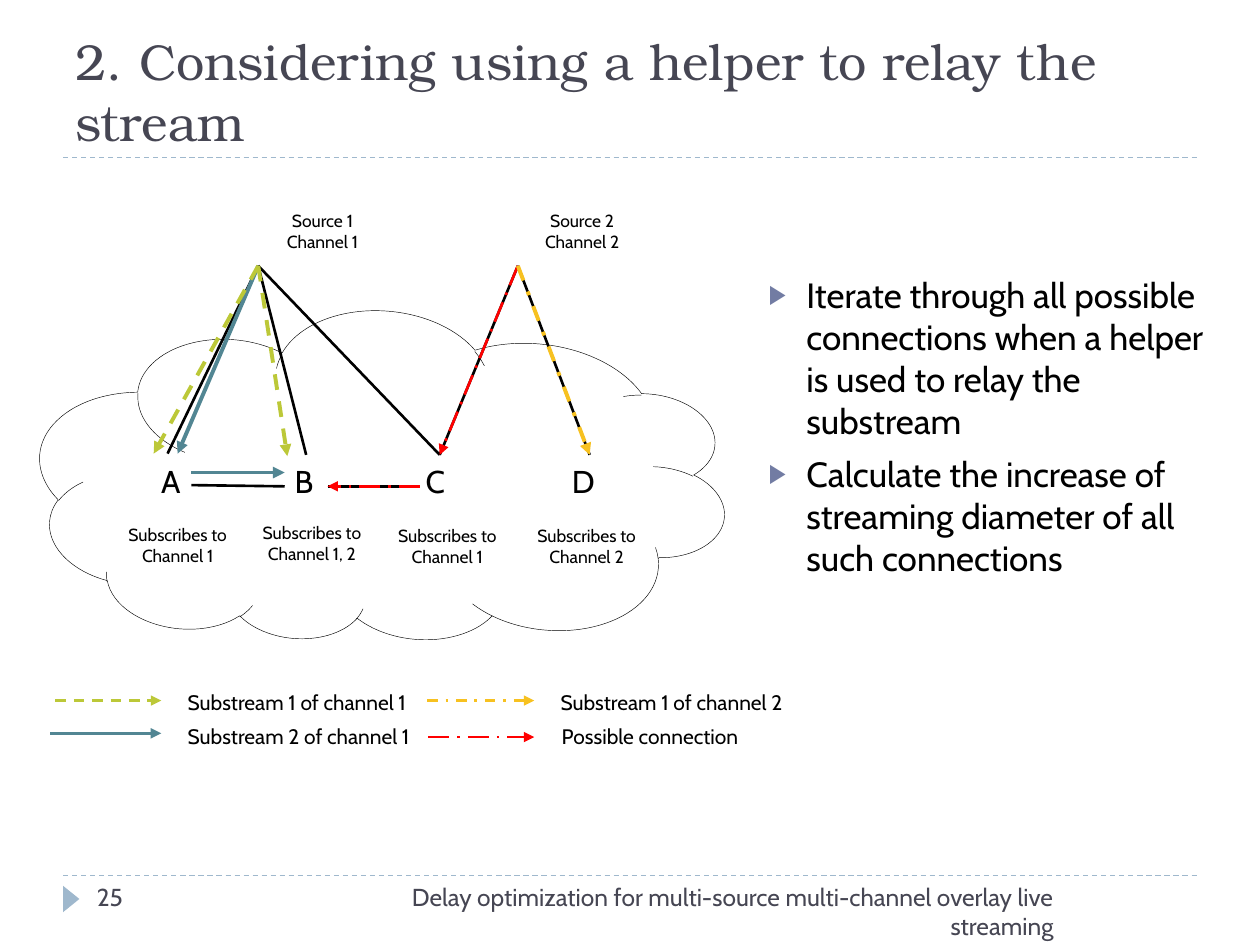
from lxml import etree
from pptx import Presentation
from pptx.dml.color import RGBColor
from pptx.enum.dml import MSO_LINE
from pptx.enum.shapes import MSO_CONNECTOR, MSO_SHAPE
from pptx.enum.text import MSO_ANCHOR, MSO_AUTO_SIZE, PP_ALIGN
from pptx.oxml.ns import qn
from pptx.util import Inches, Pt

STRAIGHT = MSO_CONNECTOR.STRAIGHT
CLOUD, TRIANGLE = MSO_SHAPE.CLOUD, MSO_SHAPE.ISOSCELES_TRIANGLE
DASH, DASH_DOT, LONG_DASH_DOT = MSO_LINE.DASH, MSO_LINE.DASH_DOT, MSO_LINE.LONG_DASH_DOT
LEFT, CENTER, RIGHT = PP_ALIGN.LEFT, PP_ALIGN.CENTER, PP_ALIGN.RIGHT

BODY_FONT, TITLE_FONT = "Cabin", "TeX Gyre Bonum"
COLORS = {
    "text": "000000",
    "heading": "464653",
    "paper": "FFFFFF",
    "rule": "9FB8CD",
    "bullet": "727CA3",
    "teal": "528693",
    "green": "BCC838",
    "yellow": "F7C120",
    "red": "FF0000",
}


def rgb(name):
    return RGBColor.from_string(COLORS[name])


def add_span(para, text, size, color="text", font=BODY_FONT):
    span = para.add_run()
    span.text = text
    span.font.name = font
    span.font.size = Pt(size)
    span.font.color.rgb = rgb(color)


def place(shape, left, top, width, height):
    shape.left, shape.top = Inches(left), Inches(top)
    shape.width, shape.height = Inches(width), Inches(height)


def add_label(page, box, lines, size, align=LEFT, color="text"):
    """Add a wrapping text box with one paragraph for each line."""
    frame = page.shapes.add_textbox(*map(Inches, box)).text_frame
    frame.word_wrap = True
    for index, line in enumerate(lines):
        para = frame.add_paragraph() if index else frame.paragraphs[0]
        para.alignment = align
        add_span(para, line, size, color)


def add_line(page, origin, start, end, color="text", width=1.5, dash=None, arrow=False):
    """Draw a line between two points measured from origin."""
    points = [Inches(base + step) for point in (start, end) for base, step in zip(origin, point)]
    connector = page.shapes.add_connector(STRAIGHT, *points)
    connector.line.color.rgb = rgb(color)
    connector.line.width = Pt(width)
    if dash:
        connector.line.dash_style = dash
    if arrow:
        etree.SubElement(connector.line._get_or_add_ln(), qn("a:tailEnd"), type="triangle")
    etree.SubElement(connector._element.spPr, qn("a:effectLst"))


def add_shape(page, kind, box, rotation, fill):
    shape = page.shapes.add_shape(kind, *map(Inches, box))
    shape.rotation = rotation
    shape.shadow.inherit = False
    shape.fill.solid()
    shape.fill.fore_color.rgb = rgb(fill)
    shape.line.fill.background()
    return shape


def add_title(page, left, top, width, height):
    title = page.shapes.title
    place(title, left, top, width, height)
    frame = title.text_frame
    frame.word_wrap = True
    frame.auto_size = MSO_AUTO_SIZE.NONE
    frame.vertical_anchor = MSO_ANCHOR.BOTTOM
    para = frame.paragraphs[0]
    para.alignment = LEFT
    add_span(para, "2. Considering using a helper to relay the stream", 28.8, "heading", TITLE_FONT)
    add_line(page, (left, top + height), (0, 0), (width, 0), "rule", 0.75, DASH)


def add_bullets(page, left, top, width, height):
    body = page.placeholders[1]
    place(body, left, top, width, height)
    frame = body.text_frame
    frame.word_wrap = True
    frame.auto_size = MSO_AUTO_SIZE.NONE
    items = [
        "Iterate through all possible connections when a helper is used to relay the substream",
        "Calculate the increase of streaming diameter of all such connections",
    ]
    for index, item in enumerate(items):
        para = frame.add_paragraph() if index else frame.paragraphs[0]
        props = para._p.get_or_add_pPr()
        props.set("marL", str(Inches(0.3)))
        props.set("indent", str(-Inches(0.3)))
        para.space_before = Pt(6 if index else 0)
        bullet_color = etree.SubElement(props, qn("a:buClr"))
        etree.SubElement(bullet_color, qn("a:srgbClr"), val=COLORS["bullet"])
        etree.SubElement(props, qn("a:buSzPct"), val="76000")
        etree.SubElement(props, qn("a:buFont"), typeface=BODY_FONT)
        etree.SubElement(props, qn("a:buChar"), char="▶")
        add_span(para, item, 20)


def add_network(page, left, top):
    """Draw the cloud of peers, the two sources and the streams between them."""
    origin = (left, top)
    cloud = add_shape(page, CLOUD, (left + 0.01, top + 0.88, 5.45, 2.65), 184.8, "paper")
    cloud.line.color.rgb = rgb("text")
    cloud.line.width = Pt(0.25)

    source_1, source_2 = (1.75, 0.51), (3.81, 0.51)
    peer_a, peer_b, peer_c, peer_d = (1.03, 2), (2.13, 2.01), (3.19, 2.01), (4.38, 2.01)
    a_right, b_left, b_right, c_left = (1.22, 2.25), (1.96, 2.26), (2.3, 2.26), (3.03, 2.26)

    links = [
        (source_1, peer_a), (source_1, peer_c), (b_left, a_right), (c_left, b_right),
        (source_2, peer_c), (source_2, peer_d), (source_1, peer_b),
    ]
    for start, end in links:
        add_line(page, origin, start, end)

    streams = [
        (source_1, (1.11, 2), "teal", 2.25, None),
        ((1.22, 2.15), (1.96, 2.15), "teal", 2.25, None),
        (source_1, (0.92, 2), "green", 2.25, DASH),
        (source_1, (1.98, 2.02), "green", 2.25, DASH),
        (source_2, peer_c, "red", 1.5, LONG_DASH_DOT),
        (source_2, peer_d, "yellow", 2.25, DASH_DOT),
        (c_left, b_right, "red", 1.5, LONG_DASH_DOT),
    ]
    for stream in streams:
        add_line(page, origin, *stream, arrow=True)

    captions = [
        (1.81, 0.02, 0.9, ["Source 1", "Channel 1"]),
        (3.87, 0.02, 0.9, ["Source 2", "Channel 2"]),
        (0.61, 2.51, 1, ["Subscribes to", "Channel 1"]),
        (1.67, 2.49, 1.01, ["Subscribes to", "Channel 1, 2"]),
        (2.72, 2.52, 1.06, ["Subscribes to", "Channel 1"]),
        (3.8, 2.52, 1.11, ["Subscribes to Channel 2"]),
    ]
    for x, y, width, lines in captions:
        add_label(page, (left + x, top + y, width, 0.44), lines, 10, CENTER)
    for name, x in zip("ABCD", (0.88, 1.94, 2.98, 4.14)):
        add_label(page, (left + x, top + 2.02, 0.45, 0.4), [name], 18)


def add_legend(page, left, top):
    entries = [
        (0.04, 0.14, 0.84, 0.99, 0, "Substream 1 of channel 1", "green", 1.5, DASH),
        (0, 0.4, 0.88, 0.99, 0.27, "Substream 2 of channel 1", "teal", 2, None),
        (2.99, 0.14, 0.85, 3.95, 0, "Substream 1 of channel 2", "yellow", 1.5, DASH_DOT),
        (3, 0.43, 0.84, 3.96, 0.27, "Possible connection", "red", 1.5, LONG_DASH_DOT),
    ]
    for x, y, length, text_x, text_y, text, *style in entries:
        add_line(page, (left, top), (x, y), (x + length, y), *style, arrow=True)
        add_label(page, (left + text_x, top + text_y, 2.21, 0.3), [text], 12)


def add_footer(page, left, top, width):
    add_line(page, (left, top), (0, 0), (width, 0), "rule", 0.75, DASH)
    add_shape(page, TRIANGLE, (left - 0.04, top + 0.12, 0.21, 0.13), 90, "rule")
    add_label(page, (left + 0.17, top, 1.5, 0.4), ["25"], 14, color="heading")
    add_label(page, (left + 1.94, top, 6.02, 0.4),
              ["Delay optimization for multi-source multi-channel overlay live streaming"],
              14, RIGHT, "heading")


def main():
    deck = Presentation()
    deck.slide_width, deck.slide_height = Inches(10), Inches(7.5)
    page = deck.slides.add_slide(deck.slide_layouts[1])
    add_title(page, 0.5, 0.17, 9, 1.08)
    add_bullets(page, 6, 2.12, 3.85, 3.53)
    add_network(page, 0.3, 1.6)
    add_legend(page, 0.4, 5.42)
    add_footer(page, 0.5, 6.95, 9)
    deck.save("out.pptx")


if __name__ == "__main__":
    main()
